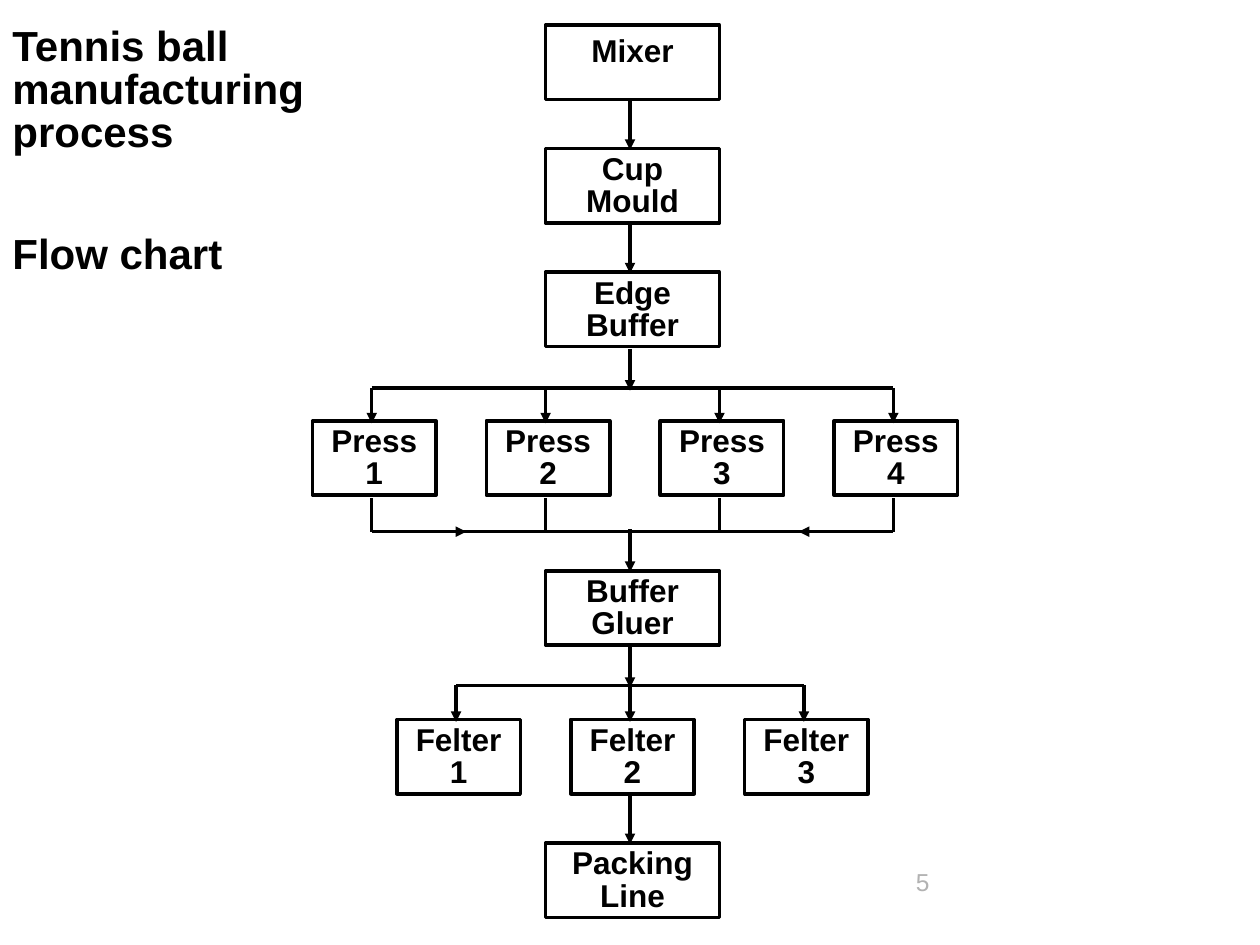
from lxml import etree
from pptx import Presentation
from pptx.dml.color import RGBColor
from pptx.enum.shapes import MSO_CONNECTOR as Connector, MSO_SHAPE as Shape
from pptx.enum.text import MSO_ANCHOR as Anchor, PP_ALIGN as Align
from pptx.oxml.ns import qn
from pptx.util import Inches, Pt

BLACK = "000000"
TRUNK = 5.0
STAGE_WIDTH, STATION_WIDTH, BOX_HEIGHT = 1.38, 0.98, 0.59
PITCH, STATION_INSET = 1.38, 0.47


def color(value):
    """Turn a hex string into a colour."""
    return RGBColor.from_string(value)


def write_text(shape, text, size=18, bold=True, fill=BLACK, align=Align.LEFT, spacing=None):
    """Write one paragraph per line of text into a shape."""
    frame = shape.text_frame
    frame.word_wrap = True
    frame.vertical_anchor = Anchor.TOP
    for index, line in enumerate(text.split("\n")):
        paragraph = frame.add_paragraph() if index else frame.paragraphs[0]
        paragraph.text = line
        paragraph.alignment = align
        paragraph.line_spacing = spacing
        font = paragraph.font
        font.name, font.size, font.bold = "Arial", Pt(size), bold
        font.color.rgb = color(fill)


def add_label(slide, text, left, top, width, height, **style):
    """Add a text box."""
    label = slide.shapes.add_textbox(*map(Inches, (left, top, width, height)))
    write_text(label, text, **style)


def add_box(slide, text, left, top, width, spacing=0.85):
    """Add an outlined box with centred text."""
    box = slide.shapes.add_shape(
        Shape.RECTANGLE, *map(Inches, (left, top, width, BOX_HEIGHT)))
    box.shadow.inherit = False
    box.fill.background()
    box.line.color.rgb = color(BLACK)
    box.line.width = Pt(2)
    write_text(box, text, align=Align.CENTER, spacing=spacing)


def add_line(slide, start_x, start_y, end_x, end_y, arrow=False):
    """Add a straight line, with an arrowhead at its end if wanted."""
    line = slide.shapes.add_connector(
        Connector.STRAIGHT, *map(Inches, (start_x, start_y, end_x, end_y)))
    line.line.color.rgb = color(BLACK)
    line.line.width = Pt(2)
    if arrow:
        etree.SubElement(line.line._get_or_add_ln(), qn("a:tailEnd"), type="triangle")
    etree.SubElement(line._element.spPr, qn("a:effectLst"))


def add_stage(slide, text, left, top, feed=0.38, spacing=0.85):
    """Add a main stage and the arrow of the given length that feeds it."""
    add_box(slide, text, left, top, STAGE_WIDTH, spacing)
    if feed:
        add_line(slide, TRUNK, top - feed, TRUNK, top + 0.01, arrow=True)


def add_stations(slide, name, count, left, top, height):
    """Add parallel stations fed from a bus line along the top of the region."""
    columns = [left + PITCH * index for index in range(count)]
    box_top = top + height - BOX_HEIGHT
    for number, x in enumerate(columns, 1):
        add_box(slide, f"{name}\n{number}", x - STATION_INSET, box_top, STATION_WIDTH)
        add_line(slide, x, top, x, box_top + 0.02, arrow=True)
    add_line(slide, columns[0], top, columns[-1], top)
    add_line(slide, TRUNK, top - 0.31, TRUNK, top + 0.02, arrow=True)
    return columns


def add_merge(slide, columns, top, height):
    """Gather station outputs on a bus line along the bottom of the region."""
    bus = top + height
    first, last = columns[0], columns[-1]
    for x in columns:
        add_line(slide, x, bus, x, top)
    add_line(slide, first, bus, last, bus)
    add_line(slide, first + 0.56, bus, first + 0.75, bus, arrow=True)
    add_line(slide, last - 0.56, bus, last - 0.75, bus, arrow=True)


def add_flow_chart(slide, left, top):
    """Add the whole chart with its main stages starting at left and top."""
    add_stage(slide, "Mixer", left, top, feed=0, spacing=None)
    for step, text in enumerate(("Cup\nMould", "Edge\nBuffer"), 1):
        add_stage(slide, text, left, top + 0.98 * step)
    presses = add_stations(slide, "Press", 4, left - PITCH, top + 2.88, 0.85)
    add_merge(slide, presses, top + 3.75, 0.27)
    add_stage(slide, "Buffer\nGluer", left, top + 4.33, feed=0.33)
    add_stations(slide, "Felter", 3, TRUNK - PITCH, top + 5.24, 0.86)
    add_stage(slide, "Packing\nLine", left, top + 6.49)


def main():
    """Build and save the slide."""
    presentation = Presentation()
    presentation.slide_width, presentation.slide_height = Inches(10), Inches(7.5)
    slide = presentation.slides.add_slide(presentation.slide_layouts[6])
    add_flow_chart(slide, 4.33, 0.2)
    add_label(slide, "Tennis ball manufacturing process", 0, 0.17, 3.78, 1.12,
              size=24, spacing=0.85)
    add_label(slide, "Flow chart", 0, 1.82, 2.32, 0.44, size=24, spacing=0.85)
    add_label(slide, "5", 7.17, 6.83, 2.08, 0.5, size=14, bold=False, fill="B2B2B2")
    presentation.save("out.pptx")


if __name__ == "__main__":
    main()
